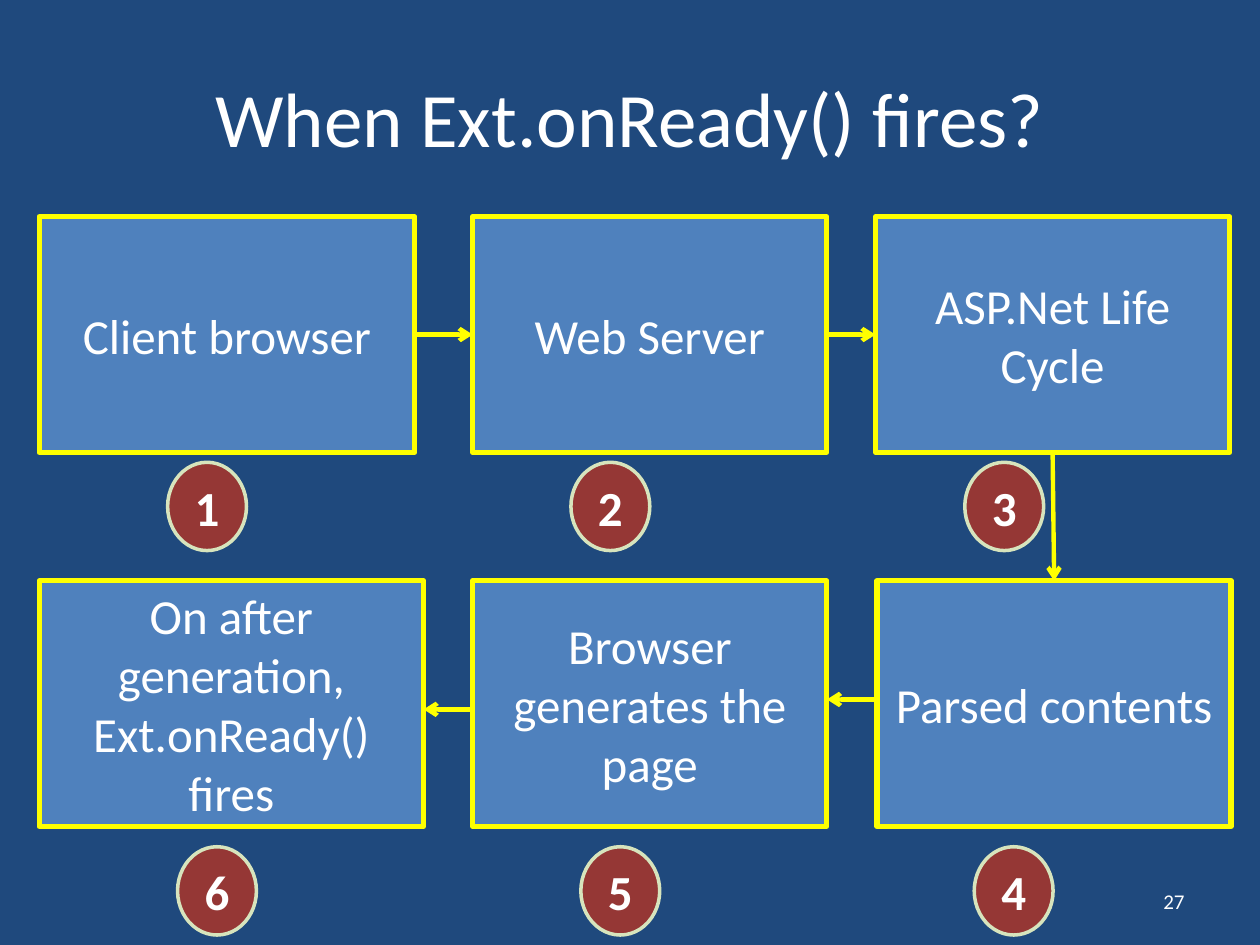
from lxml import etree
from pptx import Presentation
from pptx import util as u
from pptx.dml.color import RGBColor
from pptx.enum import shapes, text
from pptx.oxml.ns import qn

NAVY = RGBColor(0x1F, 0x49, 0x7D)
BLUE = RGBColor(0x4F, 0x81, 0xBD)
YELLOW = RGBColor(0xFF, 0xFF, 0x00)
RED = RGBColor(0x95, 0x37, 0x35)
PALE_GREEN = RGBColor(0xD7, 0xE4, 0xBD)
WHITE = RGBColor(0xFF, 0xFF, 0xFF)


class FlowSlide:
    """Holds the style and the current slide."""

    font_name = "Calibri"
    body_size = 28

    def __init__(self, presentation):
        self.slide = presentation.slides.add_slide(presentation.slide_layouts[6])
        self.slide.background.fill.solid()
        self.slide.background.fill.fore_color.rgb = NAVY

    def add_text(self, shape, content, size, align=text.PP_ALIGN.CENTER, bold=False):
        frame = shape.text_frame
        frame.word_wrap = True
        frame.vertical_anchor = text.MSO_ANCHOR.MIDDLE
        paragraph = frame.paragraphs[0]
        paragraph.alignment = align
        run = paragraph.add_run()
        run.text = content
        run.font.name = self.font_name
        run.font.size = u.Pt(size)
        run.font.bold = bold
        run.font.color.rgb = WHITE

    def label(self, content, left, top, width, height, size, align):
        box = self.slide.shapes.add_textbox(
            u.Cm(left), u.Cm(top), u.Cm(width), u.Cm(height))
        self.add_text(box, content, size, align)

    def figure(self, kind, left, top, width, height, fill, line, line_width):
        shape = self.slide.shapes.add_shape(
            kind, u.Cm(left), u.Cm(top), u.Cm(width), u.Cm(height))
        shape.shadow.inherit = False
        shape.fill.solid()
        shape.fill.fore_color.rgb = fill
        shape.line.color.rgb = line
        shape.line.width = u.Pt(line_width)
        return shape

    def step(self, content, left, top, width, height):
        shape = self.figure(shapes.MSO_SHAPE.RECTANGLE, left, top, width, height,
                            BLUE, YELLOW, 3)
        self.add_text(shape, content, self.body_size)
        return shape

    def badge(self, number, left, top):
        shape = self.figure(shapes.MSO_SHAPE.OVAL, left, top, 1.59, 1.78,
                            RED, PALE_GREEN, 2)
        self.add_text(shape, str(number), self.body_size, bold=True)

    def arrow(self, x1=0, y1=0, x2=0, y2=0):
        connector = self.slide.shapes.add_connector(
            shapes.MSO_CONNECTOR.STRAIGHT, u.Cm(x1), u.Cm(y1), u.Cm(x2), u.Cm(y2))
        connector.line.color.rgb = YELLOW
        connector.line.width = u.Pt(2.5)
        properties = connector.element.spPr
        etree.SubElement(properties.find(qn("a:ln")), qn("a:tailEnd"), type="arrow")
        etree.SubElement(properties, qn("a:effectLst"))
        return connector

    def join(self, start, start_side, end, end_side):
        connector = self.arrow()
        connector.begin_connect(start, start_side)
        connector.end_connect(end, end_side)


def main():
    presentation = Presentation()
    presentation.slide_width = u.Cm(25.4)
    presentation.slide_height = u.Cm(19.05)
    flow = FlowSlide(presentation)

    # Title
    flow.label("When Ext.onReady() fires?", 1.27, 0.76, 22.86, 3.18, 44,
               text.PP_ALIGN.CENTER)

    # Steps: top row left to right, bottom row right to left
    top_row = (4.37, 4.75)
    bottom_row = (11.71, 4.95)
    steps = [
        ("Client browser", 0.79, 7.57, top_row),
        ("Web Server", 9.53, 7.14, top_row),
        ("ASP.Net Life Cycle", 17.65, 7.14, top_row),
        ("Parsed contents", 17.68, 7.14, bottom_row),
        ("Browser generates the page", 9.53, 7.14, bottom_row),
        ("On after generation, Ext.onReady() fires", 0.79, 7.75, bottom_row),
    ]
    boxes = [flow.step(content, left, top, width, height)
             for content, left, width, (top, height) in steps]

    # Arrows between the steps
    client, server, life_cycle, parsed = boxes[:4]
    flow.join(client, 3, server, 1)
    flow.join(server, 3, life_cycle, 1)
    flow.join(life_cycle, 2, parsed, 0)
    flow.arrow(17.65, 14.1, 16.67, 14.1)
    flow.arrow(9.53, 14.3, 8.54, 14.3)

    # Number badges below the steps
    badge_rows = [
        (9.32, {1: 3.38, 2: 11.51, 3: 19.45}),
        (17.07, {6: 3.58, 5: 11.71, 4: 19.64}),
    ]
    for top, badges in badge_rows:
        for number, left in badges.items():
            flow.badge(number, left, top)

    # Page number
    flow.label("27", 18.21, 17.65, 5.92, 1.02, 12, text.PP_ALIGN.RIGHT)

    presentation.save("out.pptx")


if __name__ == "__main__":
    main()
